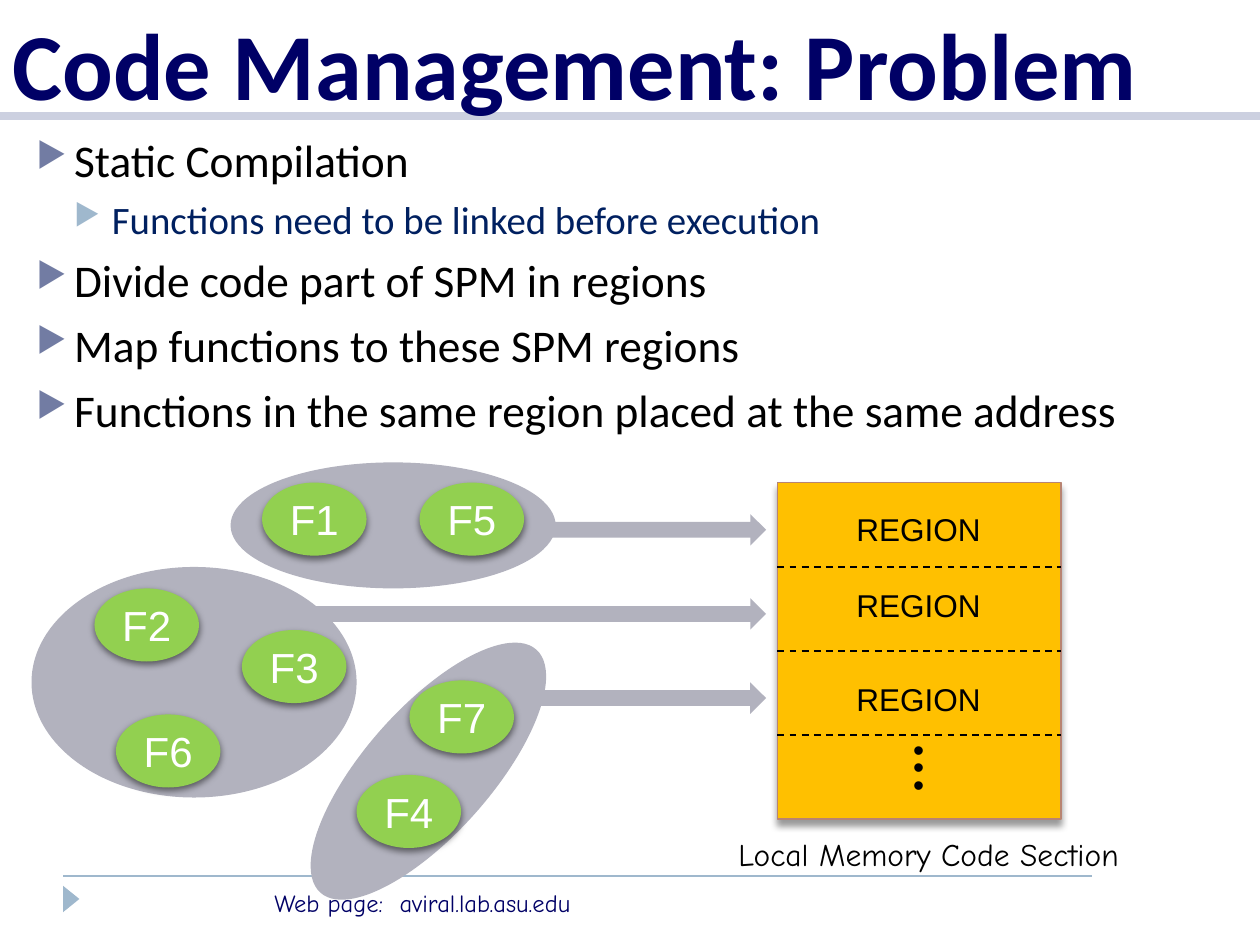
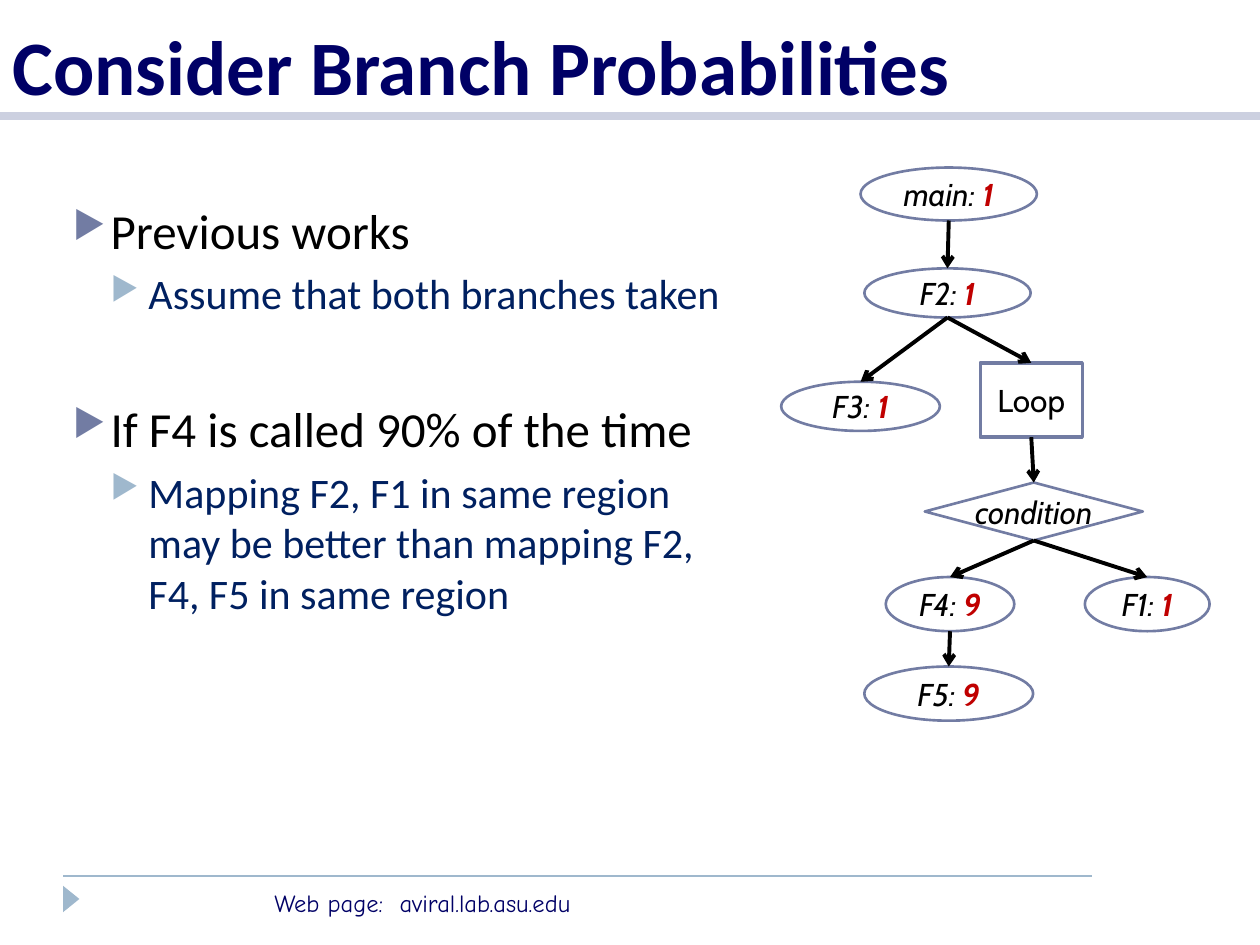
from dataclasses import dataclass
from typing import NamedTuple

from lxml.etree import SubElement
from pptx import Presentation
from pptx.dml.color import RGBColor
from pptx.enum.dml import MSO_LINE
from pptx.enum.shapes import MSO_CONNECTOR, MSO_SHAPE
from pptx.enum.text import MSO_ANCHOR, MSO_AUTO_SIZE, PP_ALIGN
from pptx.oxml.ns import qn
from pptx.util import Inches, Pt

NAVY = RGBColor(0x00, 0x00, 0x66)
BAND = RGBColor(0xCC, 0xD0, 0xE0)
SKY = RGBColor(0x9F, 0xB8, 0xCD)
SLATE = RGBColor(0x72, 0x7C, 0xA3)
DEEP_BLUE = RGBColor(0x00, 0x20, 0x60)
GROUP_GRAY = RGBColor(0xB2, 0xB2, 0xBE)
GREEN = RGBColor(0x92, 0xD0, 0x50)
AMBER = RGBColor(0xFF, 0xC0, 0x00)
COPPER = RGBColor(0xB8, 0x84, 0x72)
RED = RGBColor(0xC0, 0x00, 0x00)
BLACK = RGBColor(0x00, 0x00, 0x00)
WHITE = RGBColor(0xFF, 0xFF, 0xFF)


class Box(NamedTuple):
    x: float
    y: float
    w: float
    h: float

    def inches(self):
        return [Inches(v) for v in self]

    @property
    def top(self):
        return self.x + self.w / 2, self.y

    @property
    def bottom(self):
        return self.x + self.w / 2, self.y + self.h


@dataclass
class Bullet:
    text: str
    level: int = 0
    gap: float = 0


@dataclass
class Style:
    size: float
    font: str
    color: RGBColor = BLACK
    bold: bool = False
    italic: bool = False


@dataclass
class Node:
    box: Box
    label: str
    count: str = ""
    shape: MSO_SHAPE = MSO_SHAPE.OVAL
    fill: RGBColor | None = WHITE
    line_width: float = 1.5
    italic: bool = True


def add_run(p, text: str, style: Style):
    r = p.add_run()
    r.text = text
    f = r.font
    f.size, f.name = Pt(style.size), style.font
    f.bold, f.italic = style.bold, style.italic
    f.color.rgb = style.color


def add_text(s, box: Box, lines: list[str], style: Style, align=PP_ALIGN.LEFT,
             anchor=MSO_ANCHOR.TOP, spacing=None):
    tf = s.shapes.add_textbox(*box.inches()).text_frame
    tf.word_wrap = True
    tf.vertical_anchor = anchor
    for i, line in enumerate(lines):
        p = tf.paragraphs[0] if i == 0 else tf.add_paragraph()
        p.alignment = align
        p.line_spacing = spacing
        add_run(p, line, style)


def add_shape(s, kind, box: Box, fill=None, line=None, width=1.0, rotation=0.0):
    sp = s.shapes.add_shape(kind, *box.inches())
    sp.shadow.inherit = False
    sp.rotation = rotation
    if fill is None:
        sp.fill.background()
    else:
        sp.fill.solid()
        sp.fill.fore_color.rgb = fill
    if line is None:
        sp.line.fill.background()
    else:
        sp.line.color.rgb = line
        sp.line.width = Pt(width)
    return sp


def centre_text(sp):
    """Centre a shape's text on one line and return its paragraph."""
    tf = sp.text_frame
    tf.word_wrap = False
    tf.vertical_anchor = MSO_ANCHOR.MIDDLE
    p = tf.paragraphs[0]
    p.alignment = PP_ALIGN.CENTER
    return p


def drop_shadow(sp, opacity: int, distance: float):
    effects = sp.element.spPr.find(qn("a:effectLst"))
    shadow = SubElement(effects, qn("a:outerShdw"), blurRad=str(Pt(4)), dist=str(Pt(distance)),
                        dir="5400000", rotWithShape="0")
    color = SubElement(shadow, qn("a:srgbClr"), val=str(BLACK))
    SubElement(color, qn("a:alpha"), val=str(opacity * 1000))


def add_line(s, start, end, color: RGBColor, width: float, dashed=False, arrow=False):
    c = s.shapes.add_connector(MSO_CONNECTOR.STRAIGHT, *[Inches(v) for v in (*start, *end)])
    c.line.color.rgb = color
    c.line.width = Pt(width)
    if dashed:
        c.line.dash_style = MSO_LINE.DASH
    if arrow:
        SubElement(c.line._get_or_add_ln(), qn("a:tailEnd"), type="arrow")
    SubElement(c.element.spPr, qn("a:effectLst"))


def add_bullets(s, box: Box, bullets: list[Bullet], sizes: tuple[float, float]):
    tf = s.shapes.add_textbox(*box.inches()).text_frame
    tf.word_wrap = True
    for i, bullet in enumerate(bullets):
        p = tf.paragraphs[0] if i == 0 else tf.add_paragraph()
        p.level = bullet.level
        pPr = p._p.get_or_add_pPr()
        pPr.set("marL", str(Inches(0.3 * (bullet.level + 1))))
        pPr.set("indent", str(Inches(-0.3)))
        color = SubElement(pPr, qn("a:buClr"))
        SubElement(color, qn("a:srgbClr"), val=str((SLATE, SKY)[bullet.level]))
        SubElement(pPr, qn("a:buSzPct"), val="76000")
        SubElement(pPr, qn("a:buChar"), char="▶")
        if i:
            p.space_before = Pt(bullet.gap or 6 - bullet.level)
        add_run(p, bullet.text,
                Style(sizes[bullet.level], "Calibri", (BLACK, DEEP_BLUE)[bullet.level]))


def new_slide(prs, title: str, size: float, height: float):
    """Add a title-only slide with the shared band and footer."""
    s = prs.slides.add_slide(prs.slide_layouts[5])
    add_line(s, (0.5, 6.95), (8.67, 6.95), SKY, 1)
    add_line(s, (0, 0.92), (10, 0.92), BAND, 5)
    add_shape(s, MSO_SHAPE.ISOSCELES_TRIANGLE, Box(0.46, 7.07, 0.21, 0.13), SKY, rotation=90)
    add_text(s, Box(2.08, 7, 3.75, 0.34), ["Web page:  aviral.lab.asu.edu"],
             Style(14, "Comic Neue", NAVY))
    sp = s.shapes.title
    s.shapes.element.append(sp.element)  # title in front of the band
    sp.left, sp.top, sp.width, sp.height = Box(0, 0, 10, height).inches()
    tf = sp.text_frame
    tf.auto_size = MSO_AUTO_SIZE.NONE
    tf.vertical_anchor = MSO_ANCHOR.BOTTOM
    p = tf.paragraphs[0]
    p.alignment = PP_ALIGN.LEFT
    add_run(p, title, Style(size, "Calibri", NAVY, bold=True))
    return s


def build_code_management(prs):
    s = new_slide(prs, "Code Management: Problem", 54, 1)
    add_bullets(s, Box(0.19, 1, 9.57, 2.42), [
        Bullet("Static Compilation"),
        Bullet("Functions need to be linked before execution", 1),
        Bullet("Divide code part of SPM in regions"),
        Bullet("Map functions to these SPM regions"),
        Bullet("Functions in the same region placed at the same address"),
    ], (25.9, 22.2))

    for group, rotation in ((Box(1.83, 3.67, 2.58, 1), 0),
                            (Box(2.11, 5.62, 2.58, 1), 131.6),
                            (Box(0.25, 4.5, 2.58, 1.83), 0)):
        add_shape(s, MSO_SHAPE.OVAL, group, GROUP_GRAY, rotation=rotation)

    functions = {"F1": (2.08, 3.83), "F3": (1.92, 5), "F6": (0.92, 5.67), "F5": (3.33, 3.83),
                 "F7": (3.25, 5.4), "F4": (2.83, 6.15), "F2": (0.75, 4.67)}
    for name, (x, y) in functions.items():
        sp = add_shape(s, MSO_SHAPE.OVAL, Box(x, y, 0.83, 0.58), GREEN)
        drop_shadow(sp, 50, 2)
        add_run(centre_text(sp), name, Style(24, "Arial", WHITE))

    memory = Box(6.17, 3.83, 2.25, 2.67)
    sp = add_shape(s, MSO_SHAPE.RECTANGLE, memory, AMBER, COPPER, 0.75)
    drop_shadow(sp, 40, 3.4)
    region_height = memory.h / 4
    arrow_tip = 6.08
    region_style = Style(18, "Arial")
    for i, (arrow_left, label_top) in enumerate(((4.33, 4), (2.5, 4.6), (4.25, 5.35))):
        region_top = memory.y + i * region_height
        divider = region_top + region_height
        add_line(s, (memory.x, divider), (memory.x + memory.w, divider), BLACK, 1, dashed=True)
        add_shape(s, MSO_SHAPE.RIGHT_ARROW,
                  Box(arrow_left, region_top + 0.25, arrow_tip - arrow_left, 0.25), GROUP_GRAY)
        add_text(s, Box(6.33, label_top, 1.92, 0.4), ["REGION"], region_style,
                 PP_ALIGN.CENTER, MSO_ANCHOR.MIDDLE)
    add_text(s, Box(6.33, 5.9, 1.92, 0.52), ["•"] * 3, region_style,
             PP_ALIGN.CENTER, MSO_ANCHOR.MIDDLE, Pt(10))
    add_text(s, Box(5.58, 6.58, 3.58, 0.4), ["Local Memory Code Section"],
             Style(18, "Comic Neue"), PP_ALIGN.CENTER)


def build_branch_probabilities(prs):
    s = new_slide(prs, "Consider Branch Probabilities", 44, 0.93)
    add_bullets(s, Box(0.48, 1.54, 5.42, 4.64), [
        Bullet("Previous works"),
        Bullet("Assume that both branches taken", 1),
        Bullet("If F4 is called 90% of the time", gap=46),
        Bullet("Mapping F2, F1 in same region may be better than mapping F2, F4, F5 "
               "in same region", 1),
    ], (28, 24))

    nodes = {
        "main": Node(Box(6.83, 1.33, 1.4, 0.42), "main: ", "1"),
        "F2": Node(Box(6.86, 2.13, 1.32, 0.39), "F2: ", "1"),
        "F3": Node(Box(6.2, 3.03, 1.26, 0.39), "F3: ", "1"),
        "loop": Node(Box(7.78, 2.88, 0.81, 0.59), "Loop", shape=MSO_SHAPE.RECTANGLE,
                     fill=None, line_width=2, italic=False),
        "condition": Node(Box(7.34, 3.83, 1.73, 0.46), "condition",
                          shape=MSO_SHAPE.DIAMOND, fill=None),
        "F4": Node(Box(7.03, 4.58, 1.02, 0.43), "F4: ", "9"),
        "F1": Node(Box(8.61, 4.58, 0.99, 0.43), "F1: ", "1"),
        "F5": Node(Box(6.86, 5.29, 1.34, 0.43), "F5: ", "9"),
    }
    for node in nodes.values():
        sp = add_shape(s, node.shape, node.box, node.fill, SLATE, node.line_width)
        p = centre_text(sp)
        add_run(p, node.label, Style(18, "Cabin", italic=node.italic))
        if node.count:
            add_run(p, node.count, Style(18, "Cabin", RED, bold=True, italic=True))

    calls = (("main", "F2"), ("F2", "loop"), ("F2", "F3"), ("loop", "condition"),
             ("condition", "F4"), ("condition", "F1"), ("F4", "F5"))
    for caller, callee in calls:
        add_line(s, nodes[caller].box.bottom, nodes[callee].box.top, BLACK, 2.25, arrow=True)


def main():
    prs = Presentation()
    prs.slide_width, prs.slide_height = Inches(10), Inches(7.5)
    build_code_management(prs)
    build_branch_probabilities(prs)
    prs.save("out.pptx")


if __name__ == "__main__":
    main()
